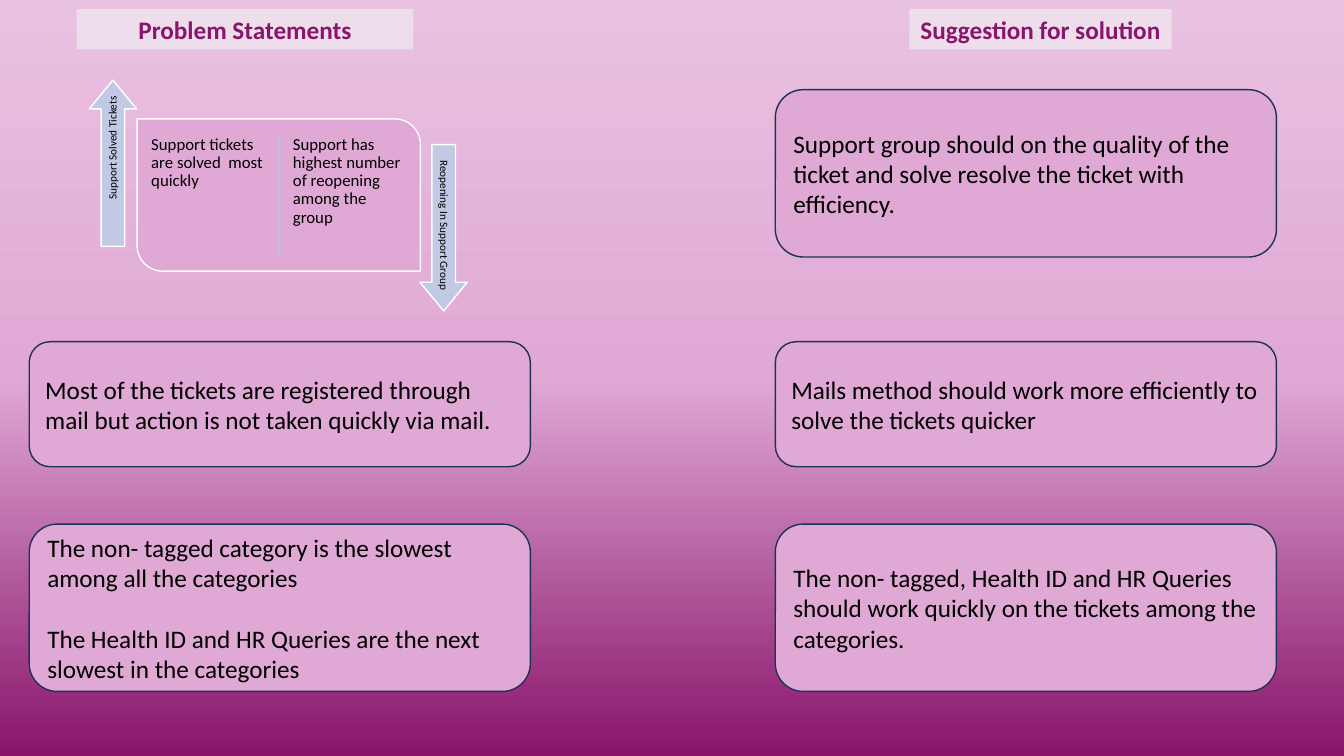
import copy

import pptx
import pptx.dml.color
import pptx.enum.shapes
import pptx.enum.text
import pptx.oxml.ns
import pptx.util
from lxml import etree

Inches, Pt, qn = pptx.util.Inches, pptx.util.Pt, pptx.oxml.ns.qn
SHAPE = pptx.enum.shapes.MSO_SHAPE
ALIGN = pptx.enum.text.PP_ALIGN
ANCHOR = pptx.enum.text.MSO_ANCHOR

COLORS = {"sky": "E9C1E1", "pink": "E0A8D5", "plum": "89156B", "navy": "1E3256",
          "blue": "C1C9E4", "white": "FFFFFF", "gray": "F2F2F2", "black": "000000"}

# text, left, width, opacity in percent, wrap
HEADINGS = [("Problem Statements", 0.76, 3.34, 58, True),
            ("Suggestion for solution", 9.02, 2.6, 60, False)]
POINTS = ["Support tickets are solved  most quickly",
          "Support has highest number of reopening among the group"]
# text, centre x, centre y, rotation, label centre y
ARROWS = [("Support Solved Tickets", 1.12, 1.62, 270, 1.68),
          ("Reopening In Support Group ", 4.4, 2.26, 90, 2.18)]
# top, height, problem paragraphs, solution paragraphs
ROWS = [
    (0.89, 1.66, [],
     ["Support group should on the quality of the ticket and solve resolve the ticket with efficiency."]),
    (3.39, 1.24,
     ["Most of the tickets are registered through mail but action is not taken quickly via mail. "],
     ["Mails method should work more efficiently to solve the tickets quicker "]),
    (5.2, 1.66,
     ["The non- tagged category is the slowest among all the categories ",
      "The Health ID and HR Queries are the next slowest in the categories  "],
     ["The non- tagged, Health ID and HR Queries should work quickly on the tickets among the categories."]),
]
COLUMN_LEFTS, COLUMN_WIDTH = (0.29, 7.69), 4.97
PANEL = (1.36, 1.18, 2.81, 1.51)


def rgb(name):
    """Return the named colour."""
    return pptx.dml.color.RGBColor.from_string(COLORS[name])


def write(shape, texts, size=18, color="black", bold=False, align=ALIGN.LEFT,
          anchor=ANCHOR.MIDDLE, margin=None, spacing=1.0, gap=0, wrap=True):
    """Put one paragraph per text into a shape."""
    frame = shape.text_frame
    frame.auto_size = pptx.enum.text.MSO_AUTO_SIZE.NONE
    frame.word_wrap, frame.vertical_anchor = wrap, anchor
    if margin is not None:
        frame.margin_left = frame.margin_right = Inches(margin)
        frame.margin_top = frame.margin_bottom = Inches(margin)
    for index, text in enumerate(texts):
        para = frame.add_paragraph() if index else frame.paragraphs[0]
        para.alignment, para.line_spacing = align, spacing
        para.space_before = Pt(gap if index else 0)
        span = para.add_run()
        span.text = text
        span.font.name, span.font.size, span.font.bold = "Calibri", Pt(size), bold
        span.font.color.rgb = rgb(color)


def add_block(shapes, kind, left, top, width, height, fill, line=None):
    """Add a flat preset shape with a plain fill and an optional outline."""
    shape = shapes.add_shape(kind, *map(Inches, (left, top, width, height)))
    shape.shadow.inherit = False
    shape.fill.solid()
    shape.fill.fore_color.rgb = rgb(fill)
    if line:
        shape.line.color.rgb, shape.line.width = rgb(line), Pt(1)
    else:
        shape.line.fill.background()
    return shape


def paint_background(page):
    """Shade the page from light pink at the top to plum at the bottom."""
    fill = page.background.fill
    fill.gradient()
    fill.gradient_angle = 270
    stop_list = next(page.element.iter(qn("a:gsLst")))
    stop_list.insert(1, copy.deepcopy(stop_list[0]))
    for stop, position, name in zip(fill.gradient_stops, (0, 0.5, 1), ("sky", "pink", "plum")):
        stop.position, stop.color.rgb = position, rgb(name)


def add_headings(page):
    """Fill the title placeholder and add the second column heading."""
    for index, (text, left, width, opacity, wrap) in enumerate(HEADINGS):
        if index:
            box = page.shapes.add_textbox(0, 0, 0, 0)
        else:
            box = page.shapes.title
        box.left, box.top, box.width, box.height = map(Inches, (left, 0.09, width, 0.4))
        box.fill.solid()
        box.fill.fore_color.rgb = rgb("gray")
        tint = next(box.element.spPr.iter(qn("a:srgbClr")))
        etree.SubElement(tint, qn("a:alpha"), val=str(opacity * 1000))
        write(box, [text], color="plum", bold=True, align=ALIGN.CENTER, wrap=wrap)


def add_diagram(page):
    """Group the two-sided panel with its up and down arrows."""
    shapes = page.shapes.add_group_shape().shapes
    left, top, width, height = PANEL
    panel = add_block(shapes, SHAPE.ROUND_2_DIAG_RECTANGLE, *PANEL, "pink", "white")
    panel.adjustments[0], panel.adjustments[1] = 0, 0.167
    middle = left + width / 2
    divider = shapes.add_connector(pptx.enum.shapes.MSO_CONNECTOR.STRAIGHT, *map(
        Inches, (middle, top + 0.16, middle, top + height - 0.16)))
    divider.line.color.rgb, divider.line.width = rgb("blue"), Pt(1)
    etree.SubElement(divider.element.spPr, qn("a:effectLst"))
    for index, text in enumerate(POINTS):
        box = shapes.add_textbox(*map(Inches, (left + 0.09 + index * width / 2, top + 0.12, 1.22, 1.28)))
        write(box, [text], size=12, anchor=ANCHOR.TOP, margin=0.05, spacing=0.9)
    for text, x, y, rotation, label_y in ARROWS:
        arrow = add_block(shapes, SHAPE.RIGHT_ARROW, x - 1.65 / 2, y - 0.47 / 2, 1.65, 0.47, "blue", "white")
        arrow.adjustments[0], arrow.adjustments[1] = 0.498, 0.607
        label = shapes.add_textbox(*map(Inches, (x - 1.51 / 2, label_y - 0.23 / 2, 1.51, 0.23)))
        write(label, [text], size=8, align=ALIGN.RIGHT, margin=0.03, spacing=0.9)
        arrow.rotation = label.rotation = rotation


def add_cards(page):
    """Add the problem and solution cards row by row."""
    for top, height, *columns in ROWS:
        for left, texts in zip(COLUMN_LEFTS, columns):
            if texts:
                card = add_block(page.shapes, SHAPE.FLOWCHART_ALTERNATE_PROCESS,
                                 left, top, COLUMN_WIDTH, height, "pink", "navy")
                write(card, texts, gap=22)


deck = pptx.Presentation()
deck.slide_width, deck.slide_height = Inches(13.33), Inches(7.5)
page = deck.slides.add_slide(deck.slide_layouts[5])
paint_background(page)
add_headings(page)
add_diagram(page)
add_cards(page)
deck.save("out.pptx")
